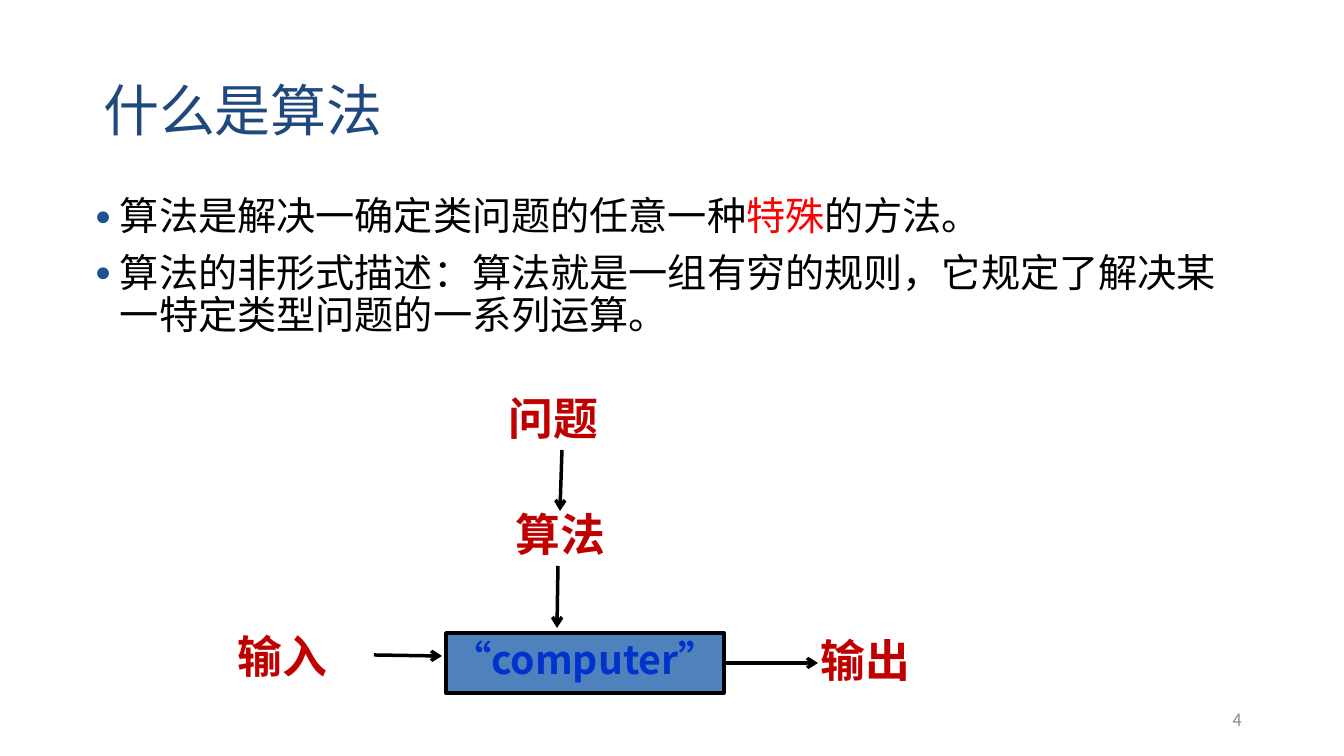
import pptx
import pptx.util
import pptx.dml.color
import pptx.enum.shapes
import pptx.enum.text
import pptx.oxml
import pptx.oxml.ns

RGB = pptx.dml.color.RGBColor
ALIGN = pptx.enum.text.PP_ALIGN
ANCHOR = pptx.enum.text.MSO_ANCHOR
Pt = pptx.util.Pt

NAVY = RGB(0x1F, 0x49, 0x7D)
BLACK = RGB(0, 0, 0)
RED = RGB(0xFF, 0, 0)
CRIMSON = RGB(0xC0, 0, 0)
STEEL = RGB(0x4F, 0x81, 0xBD)
BLUE = RGB(0, 0x33, 0xCC)
GREY = RGB(0x8C, 0x8C, 0x8C)
SCALE = 914400 / 100.8


def px(*nums):
    return [pptx.util.Emu(round(n * SCALE)) for n in nums]


def node(tag, attrs=""):
    space = pptx.oxml.ns.nsdecls("a")
    return pptx.oxml.parse_xml(f"<a:{tag} {space} {attrs}/>")


def add_run(para, text, size, font, color, bold=False):
    run = para.add_run()
    run.text = text
    run.font.size = Pt(size)
    run.font.name = font
    run.font.color.rgb = color
    run.font.bold = bold


def add_box(slide, *area):
    frame = slide.shapes.add_textbox(*px(*area)).text_frame
    frame.word_wrap = True
    return frame


def add_label(slide, text, left, top):
    para = add_box(slide, left, top, 162, 65).paragraphs[0]
    add_run(para, text, 32, "Lato", CRIMSON, True)


def add_arrow(slide, *ends):
    kind = pptx.enum.shapes.MSO_CONNECTOR.STRAIGHT
    arrow = slide.shapes.add_connector(kind, *px(*ends))
    arrow.line.color.rgb = BLACK
    arrow.line.width = Pt(2.5)
    arrow.line._get_or_add_ln().append(node("tailEnd", 'type="arrow"'))
    arrow._element.spPr.append(node("effectLst"))
    return arrow


def add_bullet(para, runs):
    props = para._p.get_or_add_pPr()
    indent = px(25)[0]
    props.set("marL", str(indent))
    props.set("indent", str(-indent))
    color = node("buClr")
    color.append(node("srgbClr", 'val="1E5293"'))
    props.append(color)
    props.append(node("buSzPct", 'val="70000"'))
    props.append(node("buFont", 'typeface="Arial"'))
    props.append(node("buChar", 'char="●"'))
    para.line_spacing = 0.9
    for text, tint in runs:
        add_run(para, text, 28, "Arial", tint)


def add_title(slide, text):
    title = slide.shapes.title
    title.left, title.top, title.width, title.height = px(93, 40, 1159, 146)
    frame = title.text_frame
    frame.vertical_anchor = ANCHOR.MIDDLE
    para = frame.paragraphs[0]
    para.alignment = ALIGN.LEFT
    para.line_spacing = 0.9
    add_run(para, text, 40, "Arial", NAVY)


def add_points(slide, points):
    frame = add_box(slide, 85, 192, 1159, 190)
    for i, runs in enumerate(points):
        para = frame.add_paragraph() if i else frame.paragraphs[0]
        add_bullet(para, runs)
        if i:
            para.space_before = Pt(10)


def add_block(slide, text, *area):
    kind = pptx.enum.shapes.MSO_SHAPE.RECTANGLE
    block = slide.shapes.add_shape(kind, *px(*area))
    block.shadow.inherit = False
    block.fill.solid()
    block.fill.fore_color.rgb = STEEL
    block.line.color.rgb = BLACK
    block.line.width = Pt(2.5)
    frame = block.text_frame
    frame.word_wrap = False
    frame.vertical_anchor = ANCHOR.MIDDLE
    frame.margin_top, frame.margin_bottom = px(0, 8)
    para = frame.paragraphs[0]
    para.alignment = ALIGN.CENTER
    add_run(para, text, 28, "Noto Sans CJK SC", BLUE, True)
    return block


def add_number(slide, text):
    frame = add_box(slide, 950, 700, 302, 40)
    frame.vertical_anchor = ANCHOR.MIDDLE
    para = frame.paragraphs[0]
    para.alignment = ALIGN.RIGHT
    add_run(para, text, 12, "Noto Sans CJK SC", GREY)


def main():
    deck = pptx.Presentation()
    deck.slide_width, deck.slide_height = px(1344, 756)
    slide = deck.slides.add_slide(deck.slide_layouts[5])

    # Title and definition
    add_title(slide, "什么是算法")
    add_points(slide, [
        [("算法是解决一确定类问题的任意一种", BLACK), ("特殊", RED),
         ("的方法。", BLACK)],
        [("算法的非形式描述：算法就是一组有穷的规则，"
          "它规定了解决某一特定类型问题的一系列运算。", BLACK)],
    ])

    # Flow from problem to computer
    add_label(slide, "问题", 499, 386)
    add_arrow(slide, 562, 450, 560, 511)
    add_label(slide, "算法", 506, 502)
    add_arrow(slide, 558, 566, 557, 628)
    block = add_block(slide, "“computer”", 446, 633, 278, 60)

    # Input and output
    add_label(slide, "输入", 228, 624)
    add_arrow(slide, 374, 655, 442, 656)
    add_label(slide, "输出", 811, 628)
    out = add_arrow(slide, 724, 663, 818, 663)
    out.begin_connect(block, 3)

    add_number(slide, "4")
    deck.save("out.pptx")


if __name__ == "__main__":
    main()
